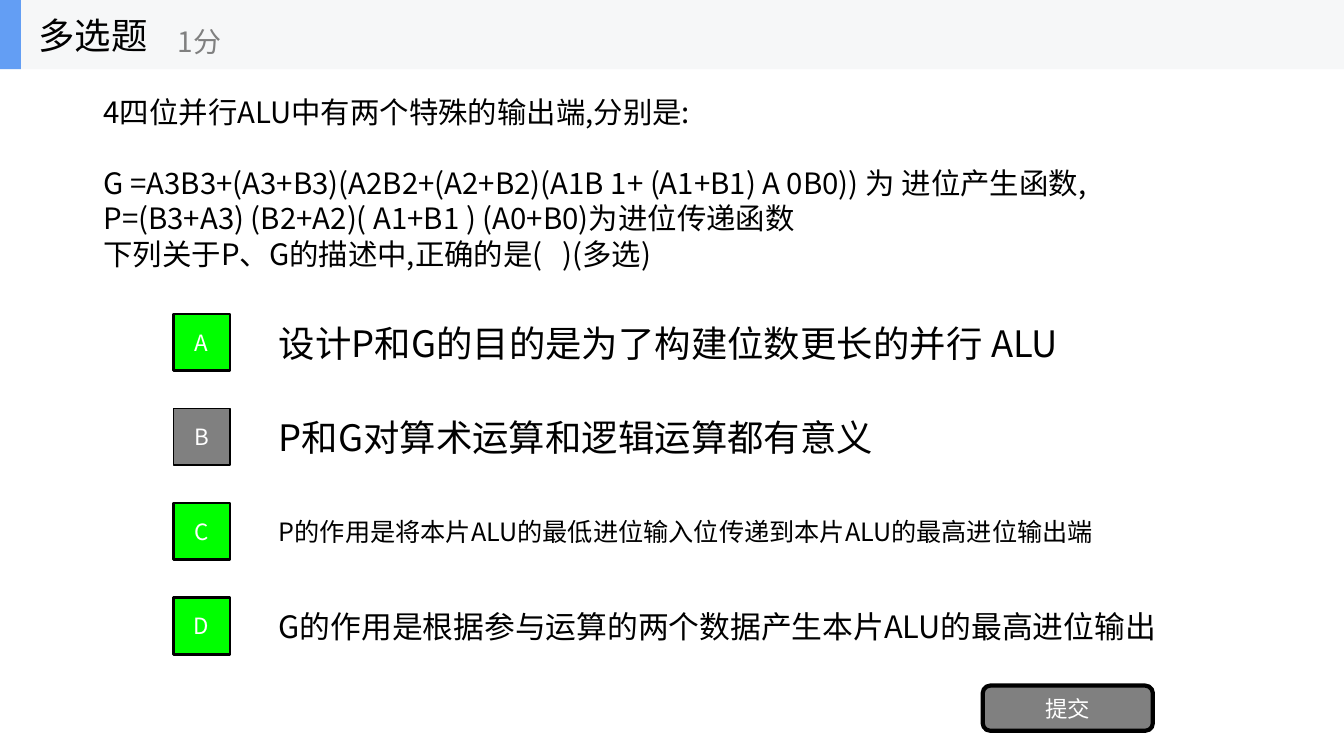
from dataclasses import dataclass

from lxml.etree import SubElement
from pptx import Presentation
from pptx.dml.color import RGBColor
from pptx.enum.shapes import MSO_SHAPE
from pptx.enum.text import MSO_ANCHOR, MSO_AUTO_SIZE, PP_ALIGN
from pptx.oxml.ns import qn
from pptx.shapes.autoshape import Shape
from pptx.slide import Slide
from pptx.util import Emu, Pt

EMU_PER_PX = 9525
FONT = "Noto Sans CJK SC"
LINE_HEIGHT = 1.2

BLACK = RGBColor(0x00, 0x00, 0x00)
WHITE = RGBColor(0xFF, 0xFF, 0xFF)
GRAY = RGBColor(0x80, 0x80, 0x80)
GREEN = RGBColor(0x00, 0xFF, 0x00)
HEADER = RGBColor(0xF6, 0xF7, 0xF8)
ACCENT = RGBColor(0x63, 0x9E, 0xF4)

HEADER_HEIGHT = 66
BUTTON_LEFT, BUTTON_SIZE = 165, 54
OPTION_LEFT = 256
FIRST_CENTER, OPTION_PITCH = 326, 90

STEM = [
    "4四位并行ALU中有两个特殊的输出端,分别是:",
    "G =A3B3+(A3+B3)(A2B2+(A2+B2)(A1B 1+ (A1+B1) A 0B0)) 为 进位产生函数,",
    "P=(B3+A3) (B2+A2)( A1+B1 ) (A0+B0)为进位传递函数",
    "下列关于P、G的描述中,正确的是(   )(多选)",
]
STEM_SIZE = 21


@dataclass(frozen=True)
class Box:
    left: int
    top: int
    width: int
    height: int

    def emu(self) -> list[Emu]:
        return [Emu(v * EMU_PER_PX)
                for v in (self.left, self.top, self.width, self.height)]


@dataclass(frozen=True)
class Option:
    letter: str
    text: str
    size: int
    width: int
    height: int
    correct: bool


OPTIONS = [
    Option("A", "设计P和G的目的是为了构建位数更长的并行 ALU", 26, 779, 51, True),
    Option("B", "P和G对算术运算和逻辑运算都有意义", 26, 596, 51, False),
    Option("C", "P的作用是将本片ALU的最低进位输入位传递到本片ALU的最高进位输出端",
           18, 970, 38, True),
    Option("D", "G的作用是根据参与运算的两个数据产生本片ALU的最高进位输出",
           22, 870, 45, True),
]


def write(sp: Shape, *lines: str, size: int, color: RGBColor = BLACK,
          align: PP_ALIGN = PP_ALIGN.LEFT) -> None:
    """Fill a shape with one plain, vertically centred paragraph per line."""
    tf = sp.text_frame
    tf.word_wrap = True
    tf.auto_size = MSO_AUTO_SIZE.NONE
    tf.vertical_anchor = MSO_ANCHOR.MIDDLE
    for i, line in enumerate(lines):
        p = tf.paragraphs[0] if i == 0 else tf.add_paragraph()
        p.alignment = align
        p.line_spacing = Pt(size * LINE_HEIGHT)
        p.space_before = p.space_after = Pt(0)
        r = p.add_run()
        r.text = line
        r.font.size = Pt(size)
        r.font.color.rgb = color
        r.font.name = FONT
        SubElement(r.font._element, qn("a:ea"), typeface=FONT)


def add_text(s: Slide, box: Box, text: str, size: int,
             color: RGBColor = BLACK) -> None:
    write(s.shapes.add_textbox(*box.emu()), text, size=size, color=color)


def add_block(s: Slide, box: Box, fill: RGBColor, line_width: int = 0,
              kind: MSO_SHAPE = MSO_SHAPE.RECTANGLE) -> Shape:
    sp = s.shapes.add_shape(kind, *box.emu())
    sp.shadow.inherit = False
    sp.fill.solid()
    sp.fill.fore_color.rgb = fill
    if line_width:
        sp.line.color.rgb = BLACK
        sp.line.width = Pt(line_width)
    else:
        sp.line.fill.background()
    return sp


def add_button(s: Slide, box: Box, label: str, fill: RGBColor, line_width: int,
               kind: MSO_SHAPE = MSO_SHAPE.RECTANGLE) -> None:
    sp = add_block(s, box, fill, line_width, kind)
    write(sp, label, size=16, color=WHITE, align=PP_ALIGN.CENTER)


def place(sp: Shape, box: Box) -> None:
    sp.left, sp.top, sp.width, sp.height = box.emu()


def add_header(s: Slide) -> None:
    add_block(s, Box(0, 0, 1280, HEADER_HEIGHT), HEADER)
    add_block(s, Box(0, 0, 20, HEADER_HEIGHT), ACCENT)
    title = s.shapes.title
    place(title, Box(27, 0, 200, HEADER_HEIGHT))
    write(title, "多选题", size=26)
    s.shapes.element.append(title.element)  # in front of the header bar
    add_text(s, Box(160, 12, 240, 54), "1分", 20, GRAY)


def add_stem(s: Slide) -> None:
    body = s.placeholders[1]
    place(body, Box(89, 84, 1114, 180))
    write(body, *STEM, size=STEM_SIZE)
    for p in body.text_frame.paragraphs:
        pPr = p._p.get_or_add_pPr()
        pPr.set("marL", "0")
        pPr.set("indent", "0")
        SubElement(pPr, qn("a:buNone"))
    body.text_frame.paragraphs[1].space_before = Pt(STEM_SIZE * LINE_HEIGHT)


def add_option(s: Slide, option: Option, center: int) -> None:
    add_text(s, Box(OPTION_LEFT, center - option.height // 2,
                    option.width, option.height), option.text, option.size)
    add_button(s, Box(BUTTON_LEFT, center - BUTTON_SIZE // 2, BUTTON_SIZE, BUTTON_SIZE),
               option.letter, GREEN if option.correct else GRAY,
               2 if option.correct else 1)


def main() -> None:
    prs = Presentation()
    prs.slide_width, prs.slide_height = Box(0, 0, 1280, 720).emu()[2:]
    s = prs.slides.add_slide(prs.slide_layouts[1])
    add_stem(s)
    for i, option in enumerate(OPTIONS):
        add_option(s, option, FIRST_CENTER + i * OPTION_PITCH)
    add_button(s, Box(936, 653, 162, 43), "提交", GRAY, 3,
               MSO_SHAPE.ROUNDED_RECTANGLE)
    add_header(s)
    prs.save("out.pptx")


if __name__ == "__main__":
    main()
